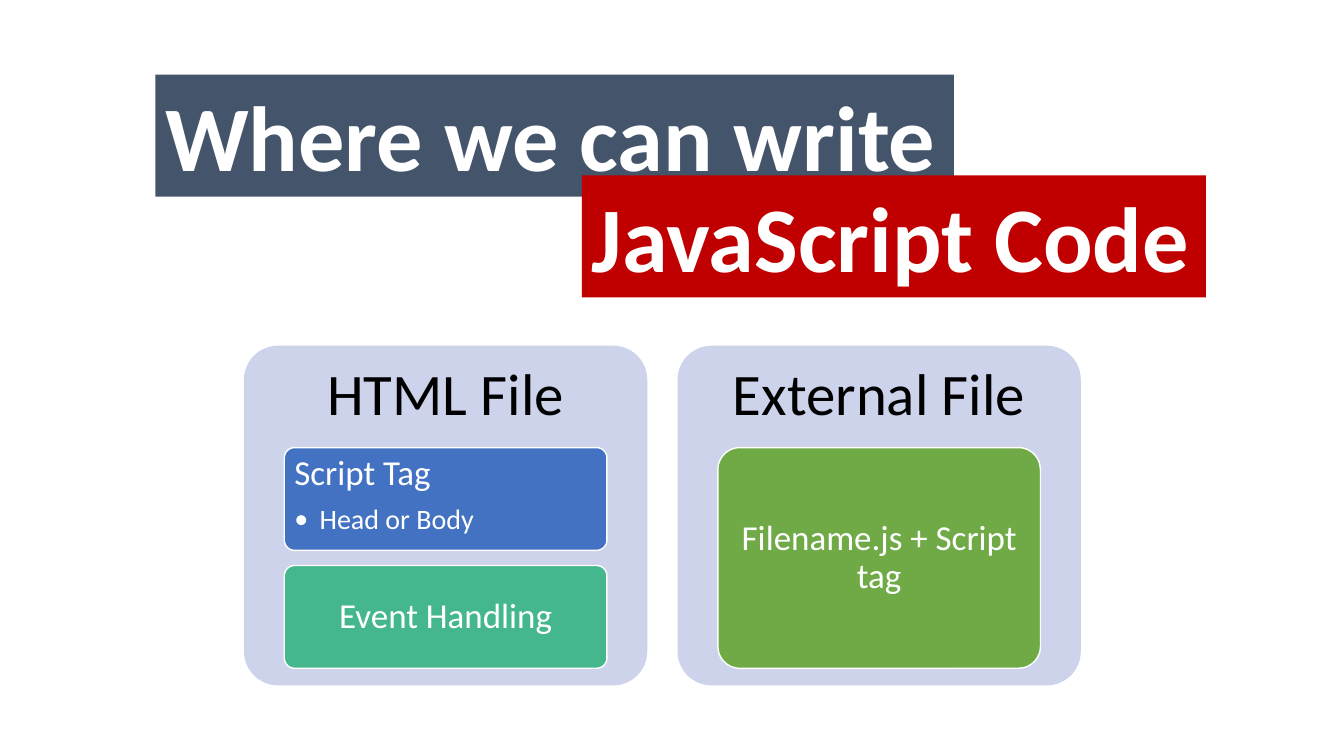
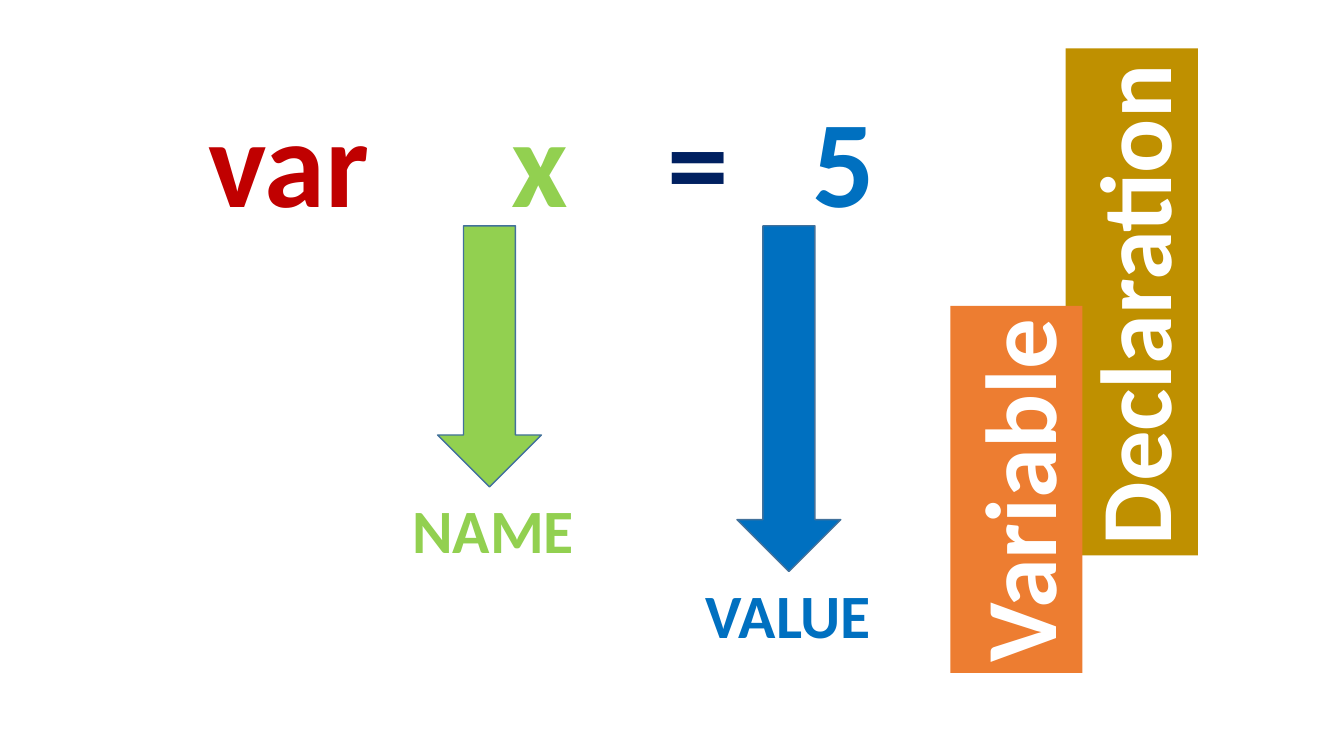
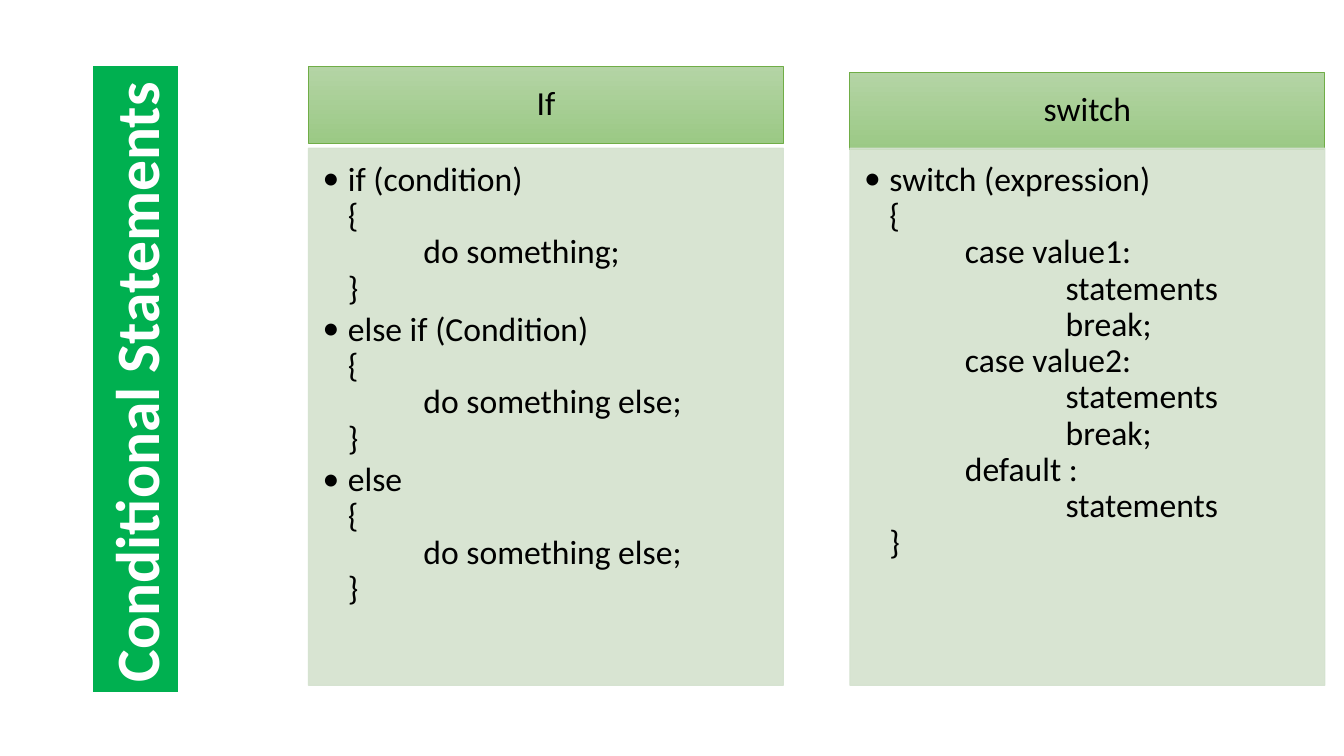
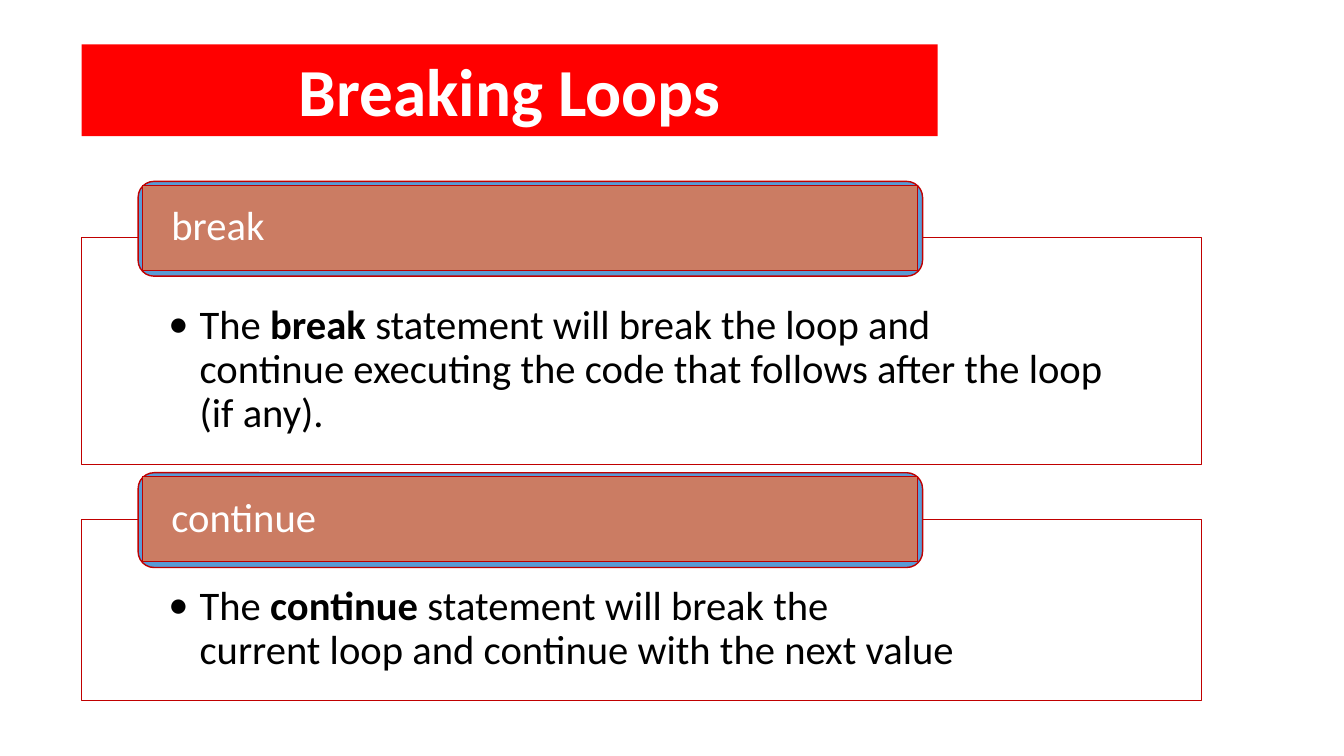
from lxml import etree
from pptx import Presentation
from pptx.dml.color import RGBColor
from pptx.enum.shapes import MSO_SHAPE
from pptx.enum.text import MSO_ANCHOR, PP_ALIGN
from pptx.oxml.ns import qn
from pptx.util import Inches, Pt

RECT, ROUNDED = MSO_SHAPE.RECTANGLE, MSO_SHAPE.ROUNDED_RECTANGLE
DOWN_ARROW = MSO_SHAPE.DOWN_ARROW
TOP, MIDDLE = MSO_ANCHOR.TOP, MSO_ANCHOR.MIDDLE
LEFT, CENTER = PP_ALIGN.LEFT, PP_ALIGN.CENTER

FONT = "Calibri"
WHITE, BLACK = "FFFFFF", "000000"
DARK_RED, LIME, NAVY, BLUE = "C00000", "92D050", "002060", "0070C0"


def add_box(page, preset, at, fill=None, line=None, weight=1, anchor=TOP,
            margins=(0.1, 0.05, 0.1, 0.05)):
    """Add a preset shape, or a text box when preset is None."""
    place = [Inches(length) for length in at]
    if preset is None:
        box = page.shapes.add_textbox(*place)
    else:
        box = page.shapes.add_shape(preset, *place)
        box.shadow.inherit = False
    if fill:
        box.fill.solid()
        box.fill.fore_color.rgb = RGBColor.from_string(fill)
    else:
        box.fill.background()
    if line:
        box.line.color.rgb = RGBColor.from_string(line)
        box.line.width = Pt(weight)
    else:
        box.line.fill.background()
    frame = box.text_frame
    frame.word_wrap = True
    frame.vertical_anchor = anchor
    (frame.margin_left, frame.margin_top,
     frame.margin_right, frame.margin_bottom) = [Inches(gap) for gap in margins]
    return box


def write(box, text, size, color, bold=None, align=LEFT, spacing=0.9, before=0, bullet=0):
    """Add one paragraph; bullet is its hanging indent in inches."""
    frame = box.text_frame
    para = frame.add_paragraph() if frame.text else frame.paragraphs[0]
    para.text = text
    if bullet:
        props = para._p.get_or_add_pPr()
        props.set("marL", str(Inches(bullet)))
        props.set("indent", str(-Inches(bullet)))
        props.set("defTabSz", str(Inches(1)))
        etree.SubElement(props, qn("a:buFont"), typeface=FONT)
        etree.SubElement(props, qn("a:buChar"), char="•")
    para.alignment = align
    para.line_spacing = spacing
    para.space_before = Pt(before)
    para.font.name = FONT
    para.font.size = Pt(size)
    para.font.bold = bold
    para.font.color.rgb = RGBColor.from_string(color)
    return para


deck = Presentation()
deck.slide_width, deck.slide_height = Inches(13.33), Inches(7.5)
where_page, variable_page, condition_page, loop_page = [
    deck.slides.add_slide(deck.slide_layouts[6]) for _ in range(4)]

# Title banners of all slides
banners = [
    (where_page, "Where we can write", 66, (1.54, 0.74, 7.92, 1.21), 0, "44546A", LEFT),
    (where_page, "JavaScript Code", 66, (5.77, 1.74, 6.19, 1.21), 0, DARK_RED, LEFT),
    (variable_page, "Declaration", 72, (8.71, 2.34, 5.03, 1.31), 270, "BF9000", LEFT),
    (variable_page, "Variable", 72, (8.26, 4.2, 3.64, 1.31), 270, "ED7D31", LEFT),
    (condition_page, "Conditional Statements", 44, (-1.76, 3.34, 6.21, 0.84), 270, "00B050", LEFT),
    (loop_page, "Breaking Loops", 48, (0.81, 0.44, 8.49, 0.91), 0, "FF0000", CENTER),
]
for page, title, size, at, rotation, fill, align in banners:
    banner = add_box(page, RECT, at, fill)
    banner.rotation = rotation
    write(banner, title, size, WHITE, bold=True, align=align, spacing=1.0)

# Where code is written: two panels with cards
for left, heading in [(2.42, "HTML File"), (6.72, "External File")]:
    panel = add_box(where_page, ROUNDED, (left, 3.43, 4, 3.37), "CCD3EA",
                    anchor=MIDDLE, margins=(0.1, 0.05, 0.1, 2.41))
    panel.adjustments[0] = 0.1
    write(panel, heading, 42, BLACK, align=CENTER)

cards = [
    ("Script Tag", "Head or Body", 2.82, 4.44, 1.02, "4372C3"),
    ("Event Handling", None, 2.82, 5.61, 1.02, "44B78C"),
    ("Filename.js + Script tag", None, 7.12, 4.44, 2.19, "6FAA47"),
]
for label, detail, left, top, height, fill in cards:
    card = add_box(where_page, ROUNDED, (left, top, 3.2, height), fill, WHITE,
                   anchor=TOP if detail else MIDDLE, margins=(0.07, 0.05, 0.07, 0.05))
    card.adjustments[0] = 0.1
    write(card, label, 25, WHITE, align=LEFT if detail else CENTER)
    if detail:
        write(card, detail, 20, WHITE, before=8.8, bullet=0.25)

# Variable declaration: the statement and its labelled parts
statement = add_box(variable_page, None, (1.97, 0.79, 6.88, 1.58))
para = write(statement, "", 88, BLACK, bold=True, spacing=1.0)
for text, color in [("var", DARK_RED), ("\tx", LIME), ("\t=", NAVY), ("\t5", BLUE)]:
    span = para.add_run()
    span.text = text
    span.font.color.rgb = RGBColor.from_string(color)
tabs = etree.Element(qn("a:tabLst"))
for stop in (3, 4.55, 5.99):
    etree.SubElement(tabs, qn("a:tab"), pos=str(Inches(stop)), algn="l")
para._p.pPr.find(qn("a:defRPr")).addprevious(tabs)

for label, color, arrow_left, length, label_left, label_width in [
        ("NAME", LIME, 4.34, 2.59, 3.99, 1.82),
        ("VALUE", BLUE, 7.31, 3.43, 6.9, 1.86)]:
    add_box(variable_page, DOWN_ARROW, (arrow_left, 2.24, 1.03, length), color, "42719B")
    caption = add_box(variable_page, None, (label_left, 2.24 + length, label_width, 0.84))
    write(caption, label, 44, color, bold=True, spacing=1.0)

# Conditional statements: header and code per column
columns = [
    ("If", 3.06, 0.66, ["if (condition)\n{\n\tdo something;\n}",
                        "else if (Condition)\n{\n\tdo something else;\n}",
                        "else\n{\n\tdo something else;\n}"]),
    ("switch", 8.43, 0.72, ["switch (expression)\n{\n"
                            "\tcase value1:\n\t\tstatements\n\t\tbreak;\n"
                            "\tcase value2:\n\t\tstatements\n\t\tbreak;\n"
                            "\tdefault :\n\t\tstatements\n}"]),
]
for heading, left, top, snippets in columns:
    header = add_box(condition_page, RECT, (left, top, 4.71, 0.76), None, "70AD47", 0.75,
                     MIDDLE, (0.19, 0.11, 0.19, 0.11))
    header.fill.gradient()
    header.fill.gradient_angle = 270
    for stop, color in zip(header.fill.gradient_stops, ("B4D4A5", "9BC985")):
        stop.color.rgb = RGBColor.from_string(color)
    write(header, heading, 24, BLACK, align=CENTER)

    code = add_box(condition_page, RECT, (left, 1.47, 4.71, 5.33), "D4E2CE", "D4E2CE", 0.75,
                   margins=(0.14, 0.14, 0.19, 0.21))
    for color in code._element.spPr.iter(qn("a:srgbClr")):
        etree.SubElement(color, qn("a:alpha"), val="90000")
    for index, snippet in enumerate(snippets):
        write(code, snippet, 24, BLACK, before=3.6 if index else 0, bullet=0.25)

# Breaking loops: framed explanation under a keyword tab
keywords = [
    ("break", 2.36, 2.25, 1.8, " statement will break the loop and",
     "continue executing the code that follows after the loop (if any)."),
    ("continue", 5.15, 1.8, 4.69, " statement will break the",
     "current loop and continue with the next value"),
]
for keyword, top, height, tab_top, first_line, second_line in keywords:
    frame = add_box(loop_page, RECT, (0.81, top, 11.11, height), WHITE, DARK_RED, 0.75,
                    margins=(0.86, 0.66, 0.86, 0.23))
    para = write(frame, "The ", 29, BLACK, bullet=0.31)
    span = para.add_run()
    span.text = keyword
    span.font.bold = True
    para.add_run().text = first_line
    para.add_line_break()
    para.add_run().text = second_line

    tab = add_box(loop_page, ROUNDED, (1.37, tab_top, 7.78, 0.94), "599BD5", DARK_RED)
    tab.adjustments[0] = 0.167
    plate = add_box(loop_page, RECT, (1.41, tab_top + 0.04, 7.69, 0.84), "CB7C63", DARK_RED,
                    0.75, MIDDLE, (0.29, 0, 0.29, 0))
    write(plate, keyword, 29, WHITE)

deck.save("out.pptx")
